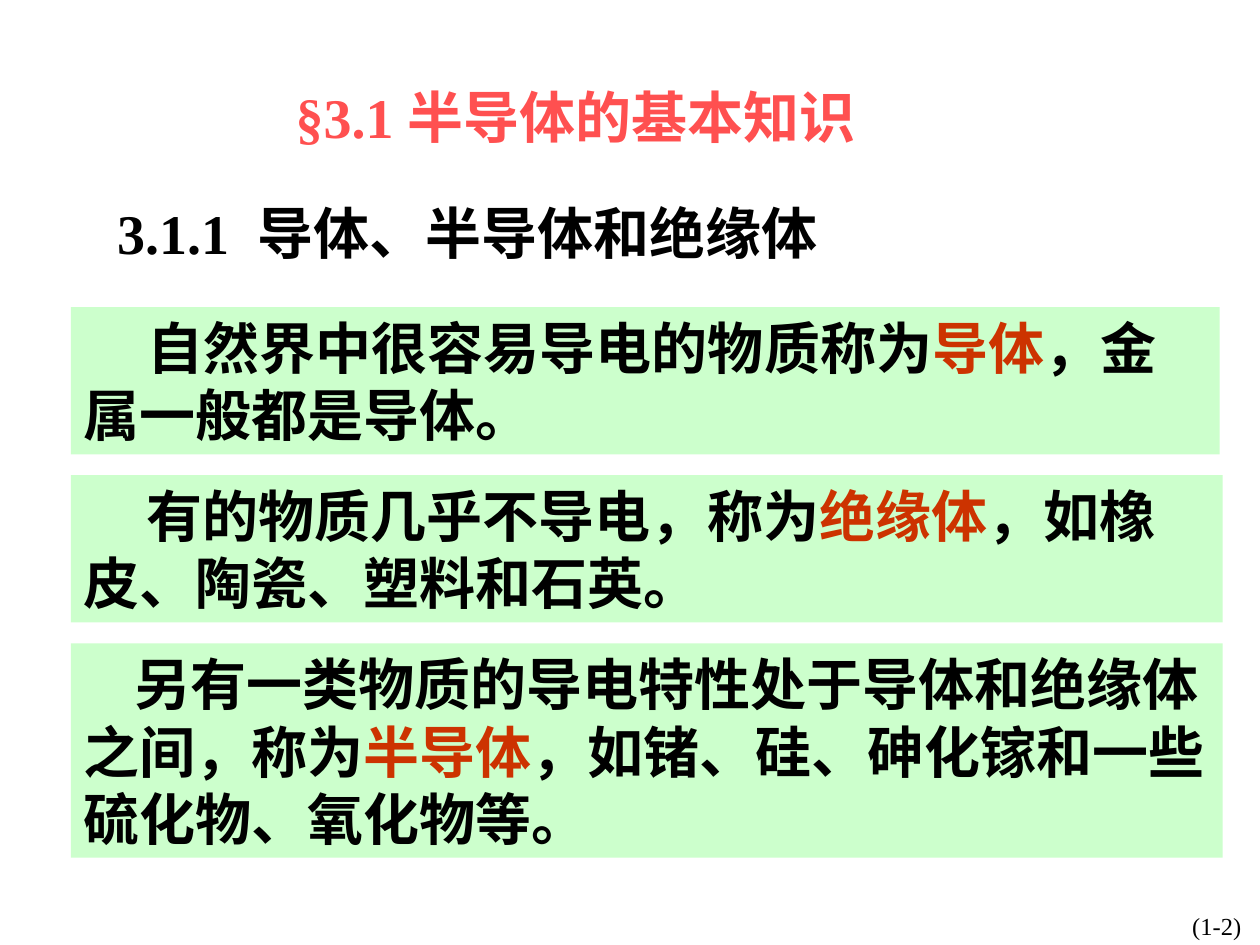
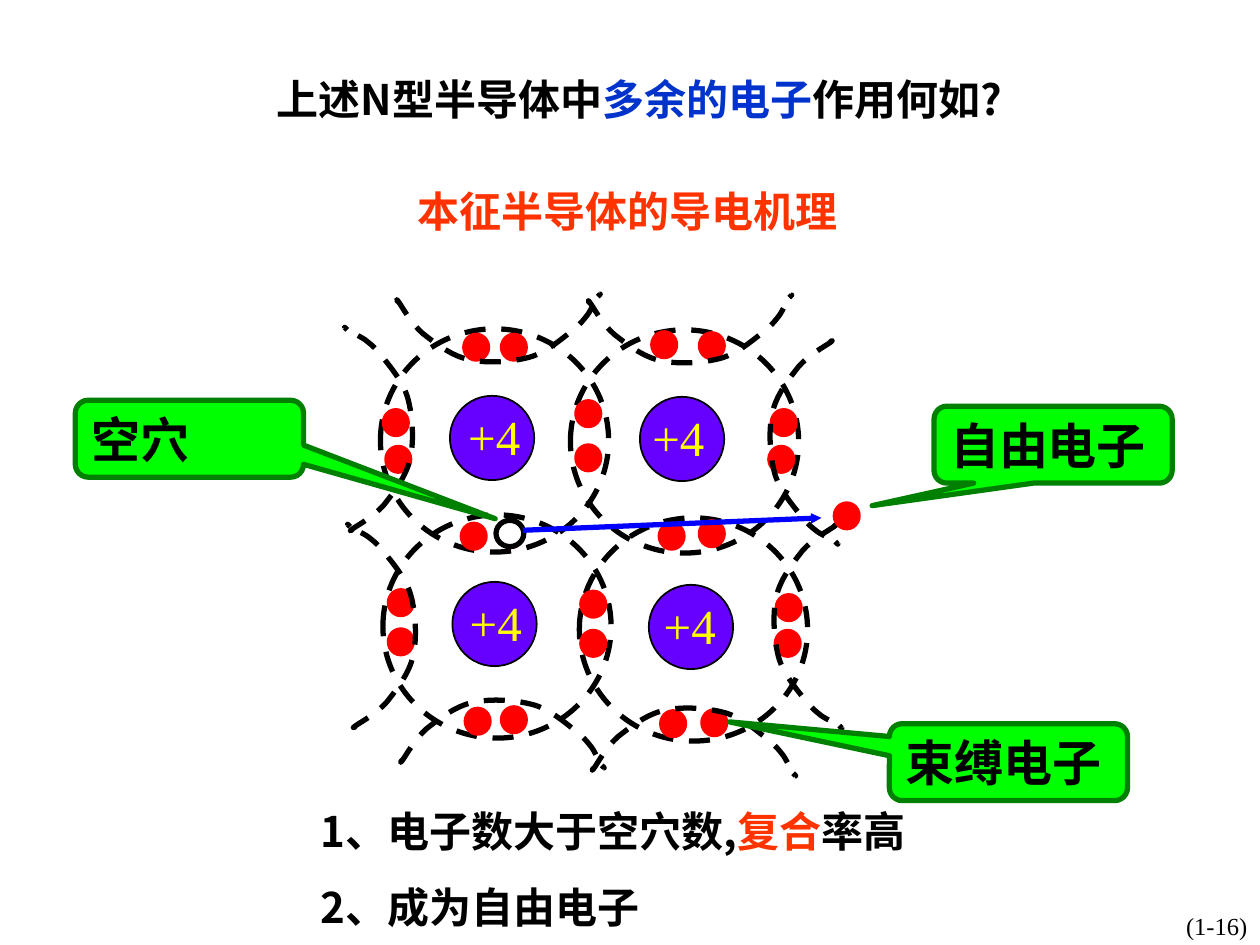
import lxml.etree
import pptx
import pptx.dml.color
import pptx.enum.dml
import pptx.enum.shapes
import pptx.enum.text
import pptx.oxml.ns
import pptx.util

Cm = pptx.util.Cm
Pt = pptx.util.Pt
Shapes = pptx.enum.shapes.MSO_SHAPE
Align = pptx.enum.text.PP_ALIGN
Anchor = pptx.enum.text.MSO_ANCHOR
qn = pptx.oxml.ns.qn

COLORS = {
    "black": "000000", "white": "FFFFFF", "title": "FF5050", "panel": "CCFFCC",
    "term": "CC3300", "accent": "FF3300", "emphasis": "0033CC", "electron": "FF0000",
    "atom": "6600FF", "charge": "FFFF00", "callout": "00FF00", "callout_line": "008000",
    "arrow": "0000FF",
}
SERIF = "Times New Roman"
SANS = "Noto Sans CJK SC"
TITLE_ONLY = 5

# Slide 1: each panel has a first-line indent, a size and coloured runs
PANELS = [
    (1.3, 23.16, 2.97, [("自然界中很容易导电的物质称为", "black"), ("导体", "term"),
                        ("，金属一般都是导体。", "black")]),
    (1.28, 23.22, 2.97, [("有的物质几乎不导电，称为", "black"), ("绝缘体", "term"),
                         ("，如橡皮、陶瓷、塑料和石英。", "black")]),
    (1.03, 23.22, 4.32, [("另有一类物质的导电特性处于导体和绝缘体之间，称为", "black"),
                         ("半导体", "term"),
                         ("，如锗、硅、砷化镓和一些硫化物、氧化物等。", "black")]),
]

# Slide 2: crystal lattice, left and top of each part in cm
# Atoms also have the left shift of their label
ATOMS = [(9.07, 7.98, 0.12), (12.9, 8, 0), (9.12, 11.73, 0.1), (13.08, 11.79, 0.05)]
ELECTRONS = [
    (9.37, 6.76), (10.13, 6.76), (13.16, 6.71), (14.12, 6.73),
    (7.75, 8.28), (7.8, 9.02), (11.63, 8.1), (11.63, 8.99), (15.57, 8.28), (15.52, 9.02),
    (9.32, 10.57), (10.06, 10.54), (13.31, 10.57), (14.12, 10.52),
    (7.85, 11.91), (7.85, 12.7), (11.73, 11.94), (11.73, 12.73), (15.67, 12.01), (15.65, 12.73),
    (9.4, 14.3), (10.13, 14.27), (13.34, 14.35), (14.17, 14.33),
]
FREE_ELECTRON = (16.84, 10.16)

# Open bond on the right edge: start point, then three control points per curve
BOND_WIDTH, BOND_HEIGHT = 1.42, 4.14
BOND_POINTS = [
    (1.24, 0.08),
    (1.24, 0.05), (1.35, 0), (1.24, 0.08),
    (1.14, 0.15), (0.81, 0.33), (0.61, 0.56),
    (0.43, 0.79), (0.15, 1.14), (0.08, 1.5),
    (0, 1.85), (0.03, 2.36), (0.13, 2.72),
    (0.23, 3.07), (0.53, 3.4), (0.69, 3.61),
    (0.84, 3.78), (0.89, 3.81), (0.99, 3.89),
    (1.09, 3.96), (1.27, 4.04), (1.35, 4.09),
    (1.4, 4.11), (1.4, 4.14), (1.4, 4.14),
    (1.4, 4.14), (1.35, 4.09), (1.35, 4.09),
]
BOND_TURNS = {
    "right": lambda x, y: (x, y),
    "left": lambda x, y: (BOND_WIDTH - x, BOND_HEIGHT - y),
    "top": lambda x, y: (y, BOND_WIDTH - x),
    "bottom": lambda x, y: (y, x),
}
BONDS = [
    ("right", 15.49, 6.83), ("right", 15.57, 10.54), ("top", 7.96, 5.91), ("top", 11.82, 5.93),
    ("bottom", 8.04, 14.08), ("bottom", 11.9, 14.24), ("left", 6.93, 6.6), ("left", 6.99, 10.57),
]

CALLOUTS = [
    ("自由电子", (18.83, 8.19, 4.8, 1.55), (-0.76, 0.793, 0.167)),
    ("空穴", (1.52, 8.07, 4.6, 1.55), (1.34, 1.041, 0.167)),
    ("束缚电子", (17.93, 14.59, 4.8, 1.55), (-1.172, -0.524, 0.167)),
]


def rgb(name):
    return pptx.dml.color.RGBColor.from_string(COLORS[name])


def write_text(shape, paragraphs, size=32, color="black", font=SERIF, bold=True,
               align=Align.LEFT, anchor=Anchor.TOP, space=0, indent=0):
    """Fill a shape; a paragraph is a string or a list of (text, colour) runs."""
    frame = shape.text_frame
    frame.word_wrap = True
    frame.auto_size = pptx.enum.text.MSO_AUTO_SIZE.NONE
    frame.vertical_anchor = anchor
    frame.margin_left = frame.margin_right = Cm(0.25)
    frame.margin_top = frame.margin_bottom = Cm(0.13)
    for index, runs in enumerate(paragraphs):
        paragraph = frame.add_paragraph() if index else frame.paragraphs[0]
        paragraph.alignment = align
        paragraph.space_before = Pt(space if index else 0)
        properties = paragraph._p.get_or_add_pPr()
        properties.set("marL", "0")
        properties.set("indent", str(Cm(indent)))
        for text, run_color in [(runs, color)] if isinstance(runs, str) else runs:
            run = paragraph.add_run()
            run.text = text
            run.font.size = Pt(size)
            run.font.bold = bold
            run.font.name = font
            run.font.color.rgb = rgb(run_color)
            east_asian = lxml.etree.SubElement(run._r.get_or_add_rPr(), qn("a:ea"))
            east_asian.set("typeface", SANS)


def style_outline(shape, color, width, dashed=False):
    shape.line.color.rgb = rgb(color)
    shape.line.width = Pt(width)
    if dashed:
        shape.line.dash_style = pptx.enum.dml.MSO_LINE.DASH


def add_box(slide, box, paragraphs, **text_format):
    shape = slide.shapes.add_textbox(*map(Cm, box))
    write_text(shape, paragraphs, **text_format)


def add_preset(slide, preset, box, fill=None, line=None, width=3, dashed=False):
    shape = slide.shapes.add_shape(preset, *map(Cm, box))
    shape.shadow.inherit = False
    if fill:
        shape.fill.solid()
        shape.fill.fore_color.rgb = rgb(fill)
    else:
        shape.fill.background()
    if line:
        style_outline(shape, line, width, dashed)
    else:
        shape.line.fill.background()
    return shape


def add_titled_slide(presentation, page, box, title, **text_format):
    slide = presentation.slides.add_slide(presentation.slide_layouts[TITLE_ONLY])
    shape = slide.shapes.title
    shape.left, shape.top, shape.width, shape.height = map(Cm, box)
    write_text(shape, [title], **text_format)
    add_box(slide, (22.08, 18.24, 4.9, 0.84), [page], size=14, bold=False,
            align=Align.CENTER, anchor=Anchor.MIDDLE)
    return slide


def add_electron(slide, left, top):
    add_preset(slide, Shapes.OVAL, (left, top, 0.46, 0.48), "electron", "electron")


def add_atom(slide, left, top, label_shift):
    add_preset(slide, Shapes.OVAL, (left, top, 1.7, 1.7), "atom", "black", width=1)
    add_preset(slide, Shapes.OVAL, (left - 1.4, top - 1.35, 4.6, 4.5), line="black", dashed=True)
    add_box(slide, (left + label_shift, top + 0.08, 1.96, 1.45), ["+4"],
            size=28, color="charge", bold=False)


def add_bond(slide, side, left, top):
    turned = [BOND_TURNS[side](x, y) for x, y in BOND_POINTS]
    start, *controls = [(Cm(left + x), Cm(top + y)) for x, y in turned]
    builder = slide.shapes.build_freeform(*start)
    builder.add_line_segments(controls, close=False)
    shape = builder.convert_to_shape()
    # Join every three control points into one cubic curve
    segments = list(shape._element.iter(qn("a:lnTo")))
    outline = segments[0].getparent()
    for first in range(0, len(segments), 3):
        curve = lxml.etree.SubElement(outline, qn("a:cubicBezTo"))
        for segment in segments[first:first + 3]:
            curve.append(segment[0])
            outline.remove(segment)
    shape.shadow.inherit = False
    shape.fill.background()
    style_outline(shape, "black", 3, dashed=True)


def add_arrow(slide, start, end):
    connector = slide.shapes.add_connector(pptx.enum.shapes.MSO_CONNECTOR.STRAIGHT,
                                           *map(Cm, start + end))
    style_outline(connector, "arrow", 3)
    lxml.etree.SubElement(connector.line._get_or_add_ln(), qn("a:tailEnd"),
                          type="triangle", w="sm", len="sm")
    lxml.etree.SubElement(connector._element.spPr, qn("a:effectLst"))


def add_callout(slide, text, box, adjustments):
    shape = add_preset(slide, Shapes.ROUNDED_RECTANGULAR_CALLOUT, box, "callout", "callout_line")
    for index, value in enumerate(adjustments):
        shape.adjustments[index] = value
    write_text(shape, [text], size=28, anchor=Anchor.MIDDLE)


def build_materials_slide(presentation):
    slide = add_titled_slide(presentation, "(1-2)", (5.71, 1.54, 15.67, 1.63),
                             "§3.1 半导体的基本知识", color="title")
    add_box(slide, (2.11, 3.88, 18.85, 1.63), ["3.1.1  导体、半导体和绝缘体"])
    top = 6.19
    for indent, width, height, runs in PANELS:
        panel = add_preset(slide, Shapes.RECTANGLE, (1.43, top, width, height), "panel")
        write_text(panel, [runs], indent=indent)
        top += height + 0.42


def build_lattice_slide(presentation):
    middle = {"size": 24, "anchor": Anchor.MIDDLE}
    slide = add_titled_slide(
        presentation, "(1-16)", (4.8, 1.35, 16.18, 1.27),
        [("上述N型半导体中", "black"), ("多余的电子", "emphasis"), ("作用何如?", "black")],
        font=SANS, align=Align.CENTER, **middle)
    add_box(slide, (8.17, 3.61, 8.97, 1.27), ["本征半导体的导电机理"],
            color="accent", align=Align.CENTER, **middle)

    # Crystal lattice
    for atom in ATOMS:
        add_atom(slide, *atom)
    for electron in ELECTRONS:
        add_electron(slide, *electron)
    for bond in BONDS:
        add_bond(slide, *bond)

    # Electron leaving its hole
    add_electron(slide, *FREE_ELECTRON)
    add_preset(slide, Shapes.OVAL, (10, 10.49, 0.56, 0.53), "white", "black")
    add_arrow(slide, (10.54, 10.69), (16.56, 10.44))

    # Callouts and conclusions
    for callout in CALLOUTS:
        add_callout(slide, *callout)
    add_box(slide, (6.22, 16.1, 13.13, 2.82),
            [[("1、电子数大于空穴数,", "black"), ("复合", "accent"), ("率高", "black")],
             "2、成为自由电子"], font=SANS, space=15, **middle)


def main():
    presentation = pptx.Presentation()
    presentation.slide_width, presentation.slide_height = Cm(25.4), Cm(19.05)
    build_materials_slide(presentation)
    build_lattice_slide(presentation)
    presentation.save("out.pptx")


if __name__ == "__main__":
    main()
